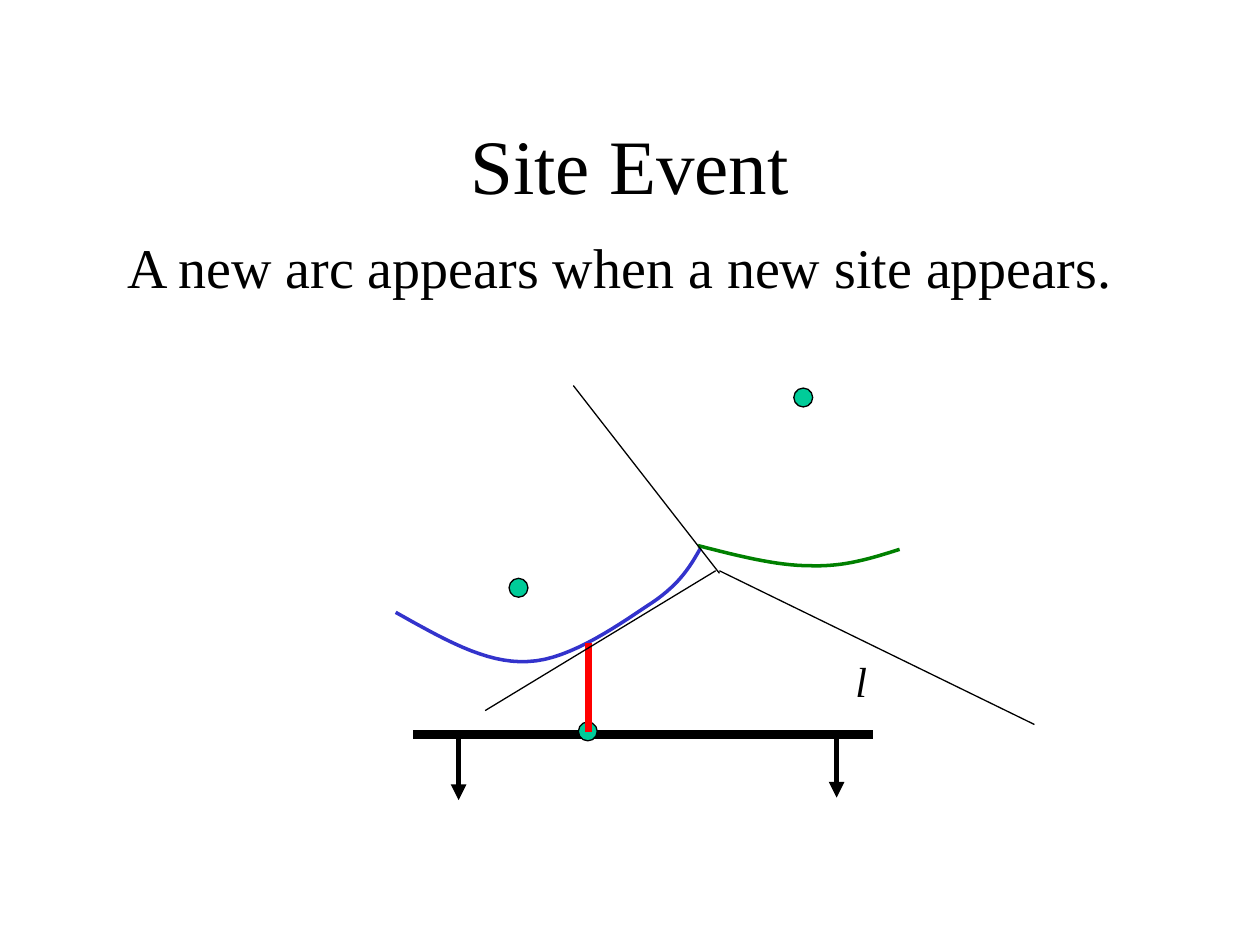
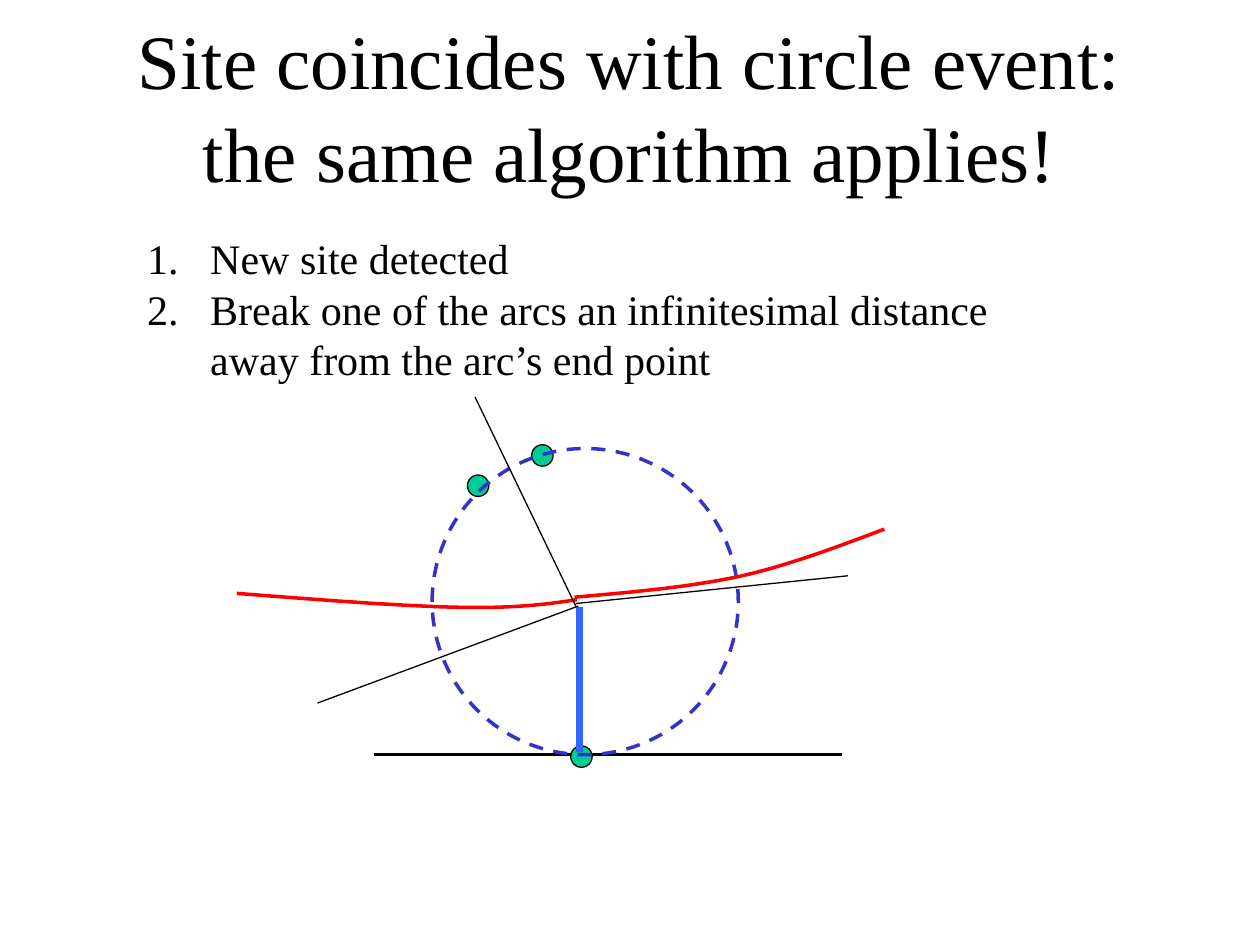
from lxml.etree import SubElement
from pptx import Presentation
from pptx.dml.color import RGBColor
from pptx.enum.dml import MSO_LINE
from pptx.enum.shapes import MSO_CONNECTOR, MSO_SHAPE
from pptx.enum.text import MSO_ANCHOR, PP_ALIGN
from pptx.oxml.ns import qn
from pptx.util import Inches, Pt

BLACK = RGBColor(0x00, 0x00, 0x00)
WHITE = RGBColor(0xFF, 0xFF, 0xFF)
TEAL = RGBColor(0x00, 0xCC, 0x99)
INDIGO = RGBColor(0x33, 0x33, 0xCC)
GREEN = RGBColor(0x00, 0x80, 0x00)
RED = RGBColor(0xFF, 0x00, 0x00)
BLUE = RGBColor(0x33, 0x66, 0xFF)
FONT = "Times New Roman"
CURVE_STEPS = 16


def add_text(slide, box, lines, size, alignment=PP_ALIGN.LEFT, anchor=MSO_ANCHOR.TOP):
    shape = slide.shapes.add_textbox(*[Inches(length) for length in box])
    frame = shape.text_frame
    frame.word_wrap = True
    frame.vertical_anchor = anchor
    for number, line in enumerate(lines):
        paragraph = frame.paragraphs[0] if number == 0 else frame.add_paragraph()
        paragraph.alignment = alignment
        for part_number, part in enumerate(line.split("\n")):
            if part_number:
                paragraph.add_line_break()
            run = paragraph.add_run()
            run.text = part
            run.font.name = FONT
            run.font.size = Pt(size)
            run.font.color.rgb = BLACK
    return frame


def add_line(slide, start, end, color, width, arrow=False):
    connector = slide.shapes.add_connector(
        MSO_CONNECTOR.STRAIGHT, *[Inches(length) for length in (*start, *end)])
    connector.line.color.rgb = color
    connector.line.width = Pt(width)
    if arrow:
        SubElement(connector.line._get_or_add_ln(), qn("a:tailEnd"), type="triangle")
    SubElement(connector._element.spPr, qn("a:effectLst"))


site_event = {
    "title": "Site Event",
    "title_top": 0.67,
    "sweep": ((3.28, 5.83), (6.93, 5.83), 5),
    "arrows": [((3.64, 5.86), (3.64, 6.35)), ((6.64, 5.85), (6.64, 6.33))],
    "site_size": 0.15,
    "sites": [(4.04, 4.59), (6.3, 3.08), (4.59, 5.73)],
    "circles": [],
    "arcs": [
        (INDIGO, [(3.14, 4.86), (3.5, 5.06), (3.85, 5.27), (4.19, 5.25),
                  (4.53, 5.24), (4.95, 4.93), (5.18, 4.78),
                  (5.4, 4.63), (5.48, 4.49), (5.56, 4.35)]),
        (GREEN, [(5.54, 4.33), (5.85, 4.41), (6.16, 4.49), (6.43, 4.49),
                 (6.7, 4.5), (6.92, 4.43), (7.14, 4.36)]),
    ],
    "new_arc": ((4.67, 5.81), (4.67, 5.1), RED),
    "edges": [((4.55, 3.06), (5.71, 4.55)), ((3.85, 5.64), (5.68, 4.53)),
              ((5.71, 4.53), (8.21, 5.75))],
}
circle_event = {
    "title": "Site coincides with circle event: the same algorithm applies!",
    "title_top": 0.21,
    "sweep": ((2.97, 5.99), (6.68, 5.99), 2),
    "arrows": [],
    "site_size": 0.17,
    "sites": [(4.53, 5.92), (3.71, 3.77), (4.22, 3.53)],
    "circles": [(3.43, 3.56, 2.43)],
    "arcs": [
        (RED, [(1.88, 4.71), (2.52, 4.76), (3.17, 4.81), (3.62, 4.82),
               (4.07, 4.83), (4.32, 4.8), (4.58, 4.76)]),
        (RED, [(4.56, 4.74), (5.02, 4.7), (5.48, 4.66), (5.89, 4.57),
               (6.3, 4.48), (6.83, 4.27), (7.02, 4.2)]),
    ],
    "new_arc": ((4.6, 5.97), (4.6, 4.82), BLUE),
    "edges": [((3.77, 3.15), (4.57, 4.81)), ((4.59, 4.81), (2.52, 5.58)),
              ((4.57, 4.79), (6.73, 4.57))],
}

presentation = Presentation()
presentation.slide_width = Inches(10)
presentation.slide_height = Inches(7.5)

for diagram in (site_event, circle_event):
    slide = presentation.slides.add_slide(presentation.slide_layouts[6])
    slide.background.fill.solid()
    slide.background.fill.fore_color.rgb = WHITE
    add_text(slide, (0.75, diagram["title_top"], 8.5, 1.25), [diagram["title"]], 44,
             PP_ALIGN.CENTER, MSO_ANCHOR.MIDDLE)

    sweep_start, sweep_end, sweep_width = diagram["sweep"]
    add_line(slide, sweep_start, sweep_end, BLACK, sweep_width)
    for start, end in diagram["arrows"]:
        add_line(slide, start, end, BLACK, 3, arrow=True)

    for left, top in diagram["sites"]:
        size = Inches(diagram["site_size"])
        site = slide.shapes.add_shape(MSO_SHAPE.OVAL, Inches(left), Inches(top), size, size)
        site.shadow.inherit = False
        site.fill.solid()
        site.fill.fore_color.rgb = TEAL
        site.line.color.rgb = BLACK
        site.line.width = Pt(0.75)

    for left, top, diameter in diagram["circles"]:
        circle = slide.shapes.add_shape(
            MSO_SHAPE.OVAL, Inches(left), Inches(top), Inches(diameter), Inches(diameter))
        circle.shadow.inherit = False
        circle.fill.background()
        circle.line.color.rgb = INDIGO
        circle.line.width = Pt(2)
        circle.line.dash_style = MSO_LINE.DASH

    for color, controls in diagram["arcs"]:
        points = []
        for first in range(0, len(controls) - 1, 3):
            for step in range(1, CURVE_STEPS + 1):
                t = step / CURVE_STEPS
                weights = ((1 - t) ** 3, 3 * t * (1 - t) ** 2, 3 * t ** 2 * (1 - t), t ** 3)
                segment = controls[first:first + 4]
                points.append([Inches(sum(weight * point[axis] for weight, point
                                          in zip(weights, segment))) for axis in (0, 1)])
        builder = slide.shapes.build_freeform(*[Inches(length) for length in controls[0]])
        builder.add_line_segments(points, close=False)
        arc = builder.convert_to_shape()
        arc.shadow.inherit = False
        arc.fill.background()
        arc.line.color.rgb = color
        arc.line.width = Pt(2)

    arc_start, arc_end, arc_color = diagram["new_arc"]
    add_line(slide, arc_start, arc_end, arc_color, 4)
    for start, end in diagram["edges"]:
        add_line(slide, start, end, BLACK, 0.75)

site_slide, circle_slide = presentation.slides

statement = add_text(site_slide, (0.78, 1.8, 8.5, 0.74),
                     ["A new arc appears when a new site appears."], 32, PP_ALIGN.CENTER)
statement.margin_right = Inches(0.32)
statement.paragraphs[0].space_before = Pt(8)
sweep_label = add_text(site_slide, (6.69, 5.15, 0.29, 0.5), ["l"], 24)
sweep_label.paragraphs[0].runs[0].font.italic = True

steps = add_text(circle_slide, (1.07, 1.8, 6.95, 1.7), [
    "New site detected",
    "Break one of the arcs an infinitesimal distance\naway from the arc’s end point",
], 24)
for paragraph in steps.paragraphs:
    properties = paragraph._p.get_or_add_pPr()
    properties.set("marL", str(Inches(0.5)))
    properties.set("indent", str(-Inches(0.5)))
    SubElement(properties, qn("a:buFont"), typeface="+mj-lt")
    SubElement(properties, qn("a:buAutoNum"), type="arabicPeriod")

presentation.save("out.pptx")
